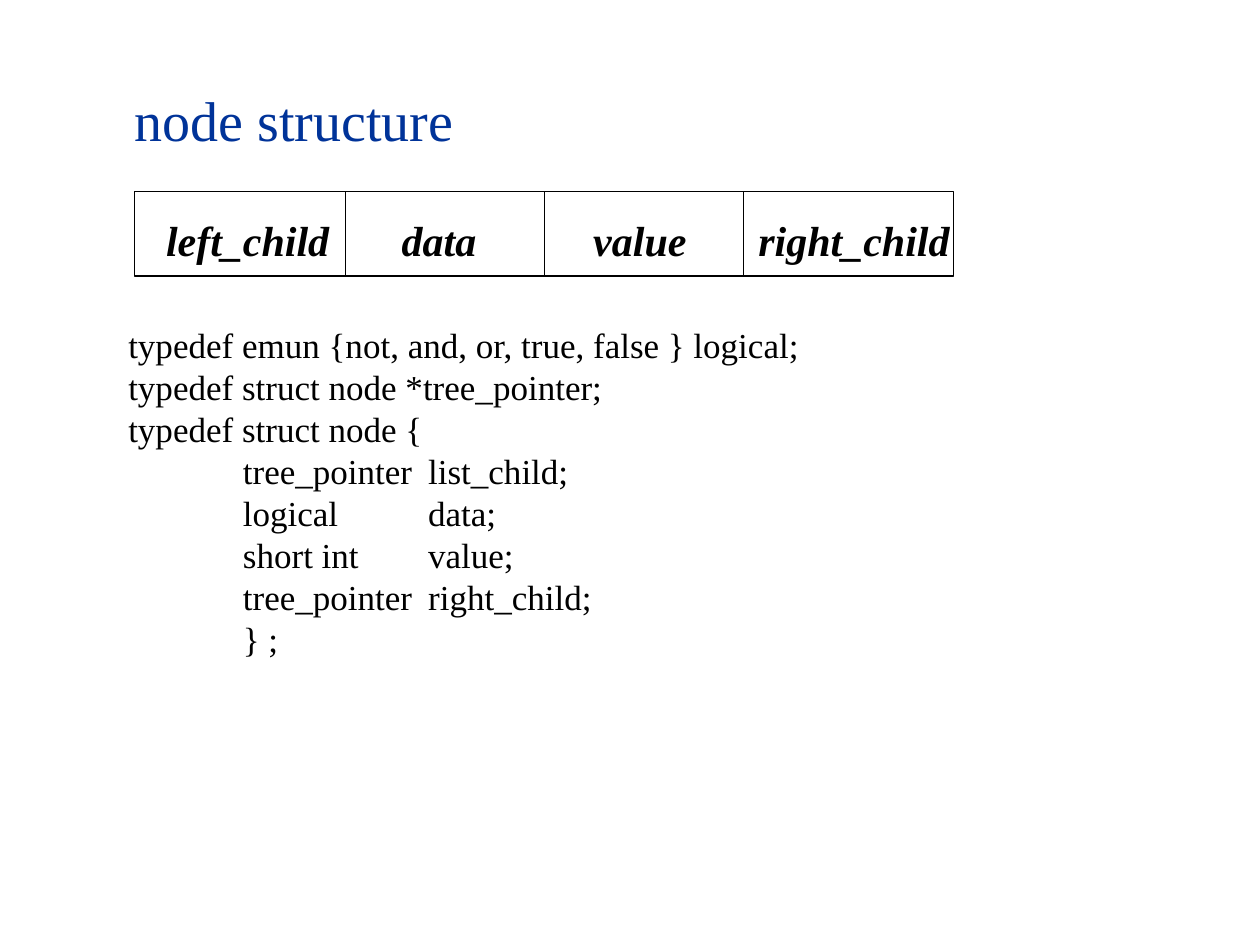
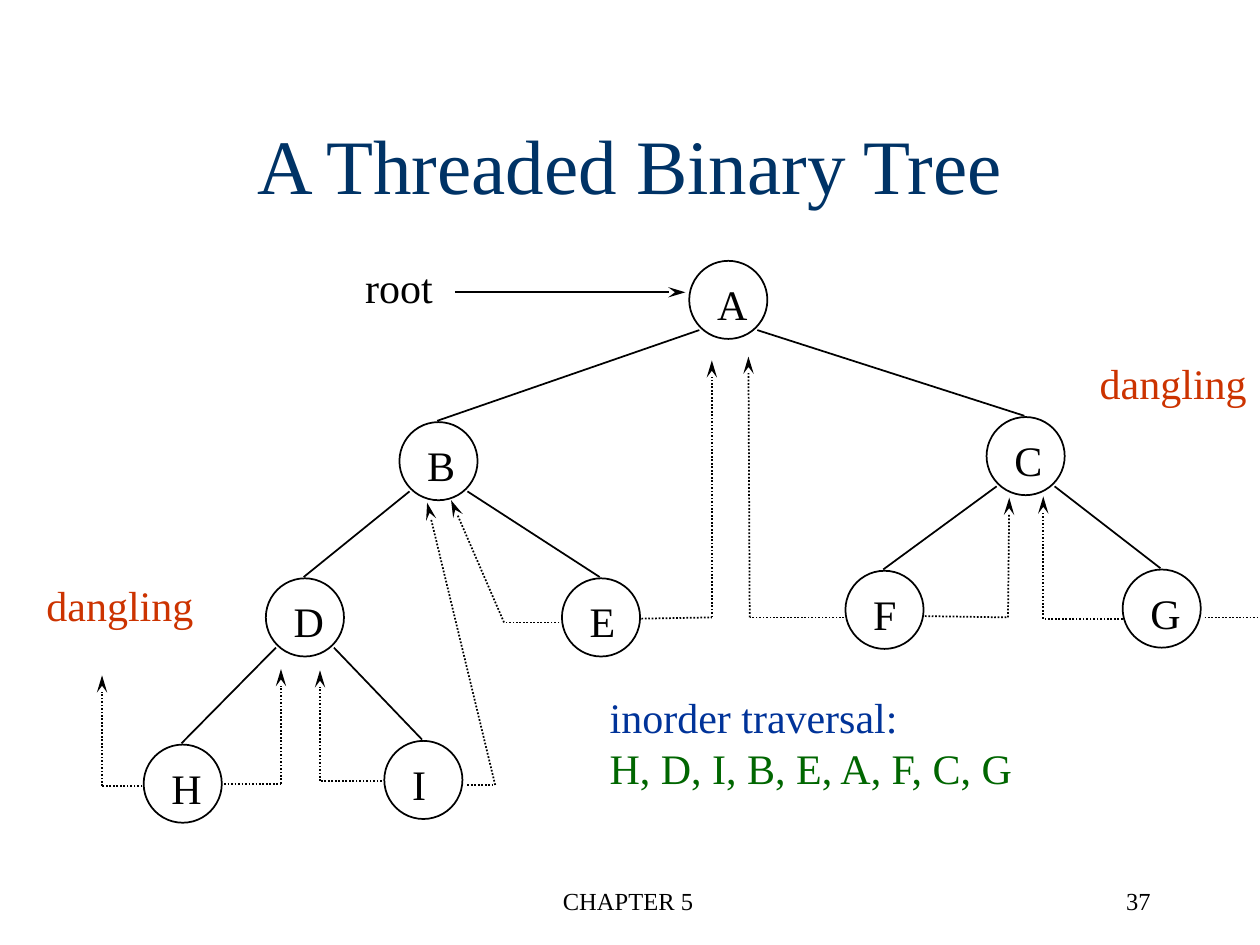
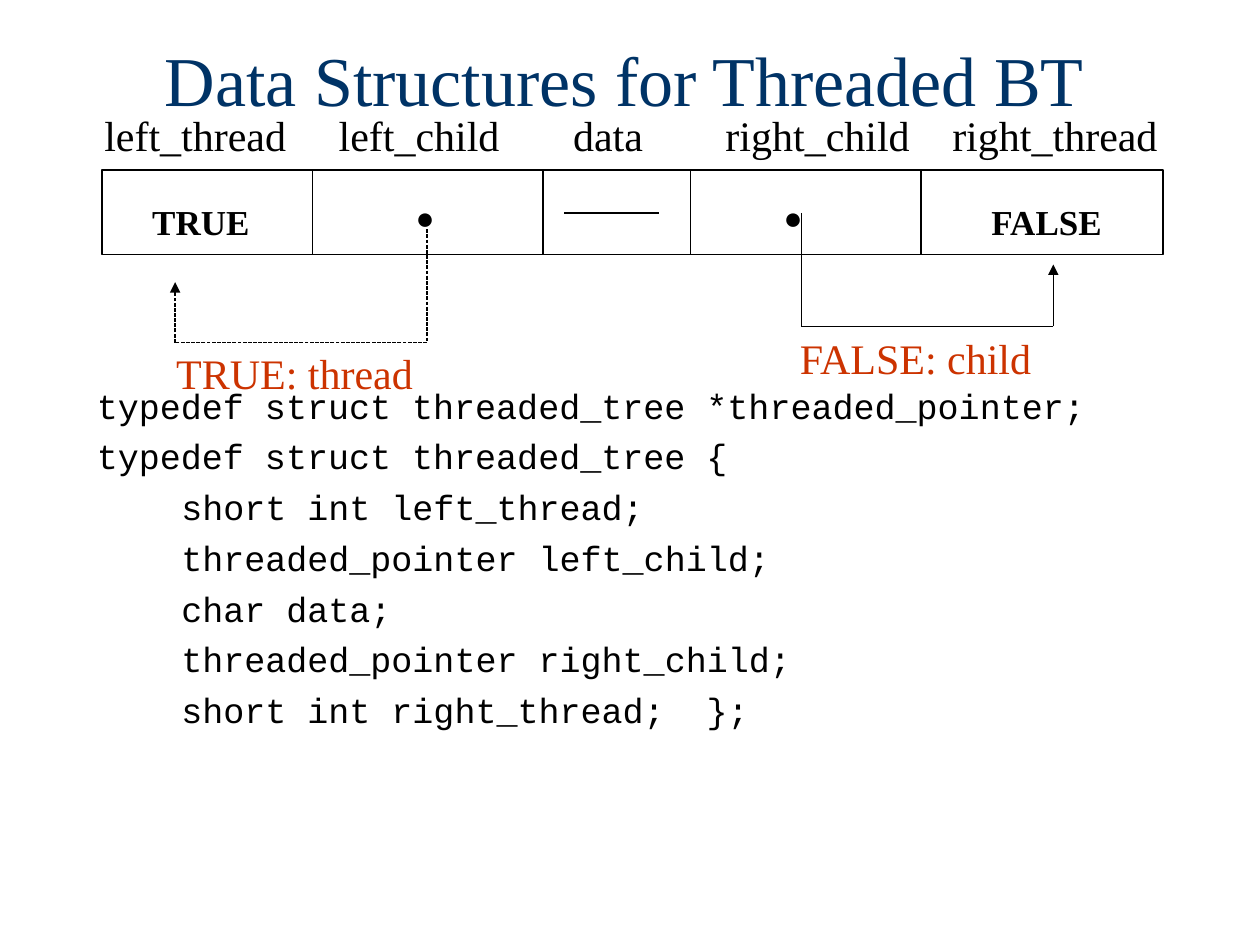
from lxml import etree
from pptx import Presentation
from pptx.dml.color import RGBColor
from pptx.enum.dml import MSO_LINE as Dash
from pptx.enum.shapes import MSO_CONNECTOR as Connector, MSO_SHAPE as Preset
from pptx.enum.text import MSO_ANCHOR as Anchor, PP_ALIGN as Align
from pptx.oxml.ns import qn
from pptx.util import Inches, Pt

COLORS = {
    "ink": "000000",
    "title": "003366",
    "blue": "003399",
    "green": "006600",
    "red": "CC3300",
}
SERIF, MONO, SANS = "Times New Roman", "Courier New", "Arial"
LINE_HEIGHT = 1.2
NODE_SIZE = 0.62
ARROW_LENGTHS = {"stealth": "lg", "triangle": "med"}


# Shared text and line helpers
def color(name):
    return RGBColor.from_string(COLORS[name])


def add_line_of_text(paragraph, text, size, ink="ink", font=SERIF, bold=False,
                     italic=False, align=Align.LEFT, before=0, tabs=()):
    paragraph.alignment = align
    paragraph.space_before = Pt(before)
    paragraph.line_spacing = Pt(size * LINE_HEIGHT)
    if tabs:
        properties = paragraph._p.get_or_add_pPr()
        tab_list = etree.SubElement(properties, qn("a:tabLst"))
        for stop in tabs:
            etree.SubElement(tab_list, qn("a:tab"), pos=str(Inches(stop)), algn="l")
    run = paragraph.add_run()
    run.text = text
    run.font.name = font
    run.font.size = Pt(size)
    run.font.bold = bold
    run.font.italic = italic
    run.font.color.rgb = color(ink)


def add_text(slide, box, lines, size, inks=("ink",), anchor=Anchor.TOP,
             margin_right=0.1, **style):
    shape = slide.shapes.add_textbox(*map(Inches, box))
    frame = shape.text_frame
    frame.word_wrap = True
    frame.margin_right = Inches(margin_right)
    frame.vertical_anchor = anchor
    for index, line in enumerate(lines):
        paragraph = frame.add_paragraph() if index else frame.paragraphs[0]
        add_line_of_text(paragraph, line, size, inks[index % len(inks)], **style)


def add_label(slide, left, top, width, text, size=24, **style):
    add_text(slide, (left, top, width, 0.5), [text], size, margin_right=0, **style)


def add_title(slide, box, text, size, ink="title", **style):
    add_text(slide, box, [text], size, [ink], **style)


def add_line(slide, start, end, weight=1, dash=None, arrow=None):
    line = slide.shapes.add_connector(
        Connector.STRAIGHT, *map(Inches, (*start, *end)))
    line.line.color.rgb = color("ink")
    line.line.width = Pt(weight)
    if dash:
        line.line.dash_style = dash
    if arrow:
        etree.SubElement(line.line._get_or_add_ln(), qn("a:tailEnd"),
                         type=arrow, w="med", len=ARROW_LENGTHS[arrow])
    etree.SubElement(line._element.spPr, qn("a:effectLst"))
    return line


def add_path(slide, points, arrow, **style):
    """Chain straight lines through the points, with the arrow on the last."""
    for index in range(len(points) - 1):
        last = index == len(points) - 2
        add_line(slide, points[index], points[index + 1],
                 arrow=arrow if last else None, **style)


def add_outline(slide, preset, box):
    shape = slide.shapes.add_shape(preset, *map(Inches, box))
    shape.shadow.inherit = False
    shape.fill.background()
    shape.line.color.rgb = color("ink")
    return shape


# Record: a frame cut into fields
def add_record(slide, left, top, width, dividers, height=0.67):
    frame = add_outline(slide, Preset.RECTANGLE, (left, top, width, height))
    frame.line.width = Pt(0.75)
    for offset in dividers:
        x = left + offset
        divider = add_line(slide, (x, top), (x, top + height), 0.75)
        if offset * 2 == width:
            divider.begin_connect(frame, 0)
            divider.end_connect(frame, 2)


# Threaded tree: positions are relative to the tree's box
NODES = {
    "A": (4.67, 0.07), "B": (2.37, 1.35), "C": (7.03, 1.31),
    "D": (1.31, 2.59), "E": (3.66, 2.59), "F": (5.91, 2.53),
    "G": (8.11, 2.52), "H": (0.34, 3.91), "I": (2.25, 3.88),
}
CHILDREN = {"A": "BC", "B": "DE", "C": "FG", "D": "HI"}
THREADS = [
    [(0.33, 4.24), (0.01, 4.24), (0.01, 3.36)],  # H to nowhere
    [(0.98, 4.22), (1.43, 4.22), (1.43, 3.31)],  # H to D
    [(2.23, 4.2), (1.74, 4.2), (1.74, 3.32)],    # I to D
    [(2.91, 4.23), (3.13, 4.23), (2.59, 1.99)],  # I to B
    [(3.64, 2.94), (3.2, 2.94), (2.78, 1.97)],   # E to B
    [(4.29, 2.91), (4.85, 2.9), (4.85, 0.86)],   # E to A
    [(5.9, 2.9), (5.15, 2.9), (5.14, 0.83)],     # F to A
    [(6.54, 2.89), (7.2, 2.9), (7.21, 1.95)],    # F to C
    [(8.11, 2.91), (7.48, 2.91), (7.48, 1.94)],  # G to C
]
OPEN_THREAD = [(8.76, 2.9), (9.18, 2.9)]         # G off the edge


def add_node(slide, left, top, name):
    circle = add_outline(slide, Preset.OVAL, (left, top, NODE_SIZE, NODE_SIZE))
    circle.line.width = Pt(1)
    frame = circle.text_frame
    frame.word_wrap = True
    frame.vertical_anchor = Anchor.TOP
    frame.margin_left, frame.margin_top = Inches(0.13), Inches(0.05)
    frame.margin_right = frame.margin_bottom = 0
    add_line_of_text(frame.paragraphs[0], name, 24)


def add_tree(slide, left, top):
    def place(point, dx=0, dy=0):
        return left + point[0] + dx, top + point[1] + dy

    for name, corner in NODES.items():
        add_node(slide, *place(corner), name)
    for parent, children in CHILDREN.items():
        for child, dx in zip(children, (0.08, 0.54)):
            add_line(slide, place(NODES[parent], dx, 0.55),
                     place(NODES[child], 0.3, -0.01))
    for thread in THREADS:
        add_path(slide, [place(point) for point in thread], "stealth",
                 dash=Dash.ROUND_DOT)
    add_path(slide, [place(point) for point in OPEN_THREAD], None,
             dash=Dash.ROUND_DOT)
    add_line(slide, place((2.81, 0.32)), place((4.64, 0.32)), arrow="stealth")
    add_label(slide, *place((2, 0.03)), 0.74, "root")


# Footer
def add_footer(slide, chapter, number):
    for left, width, text, align in ((3.4, 3.17, chapter, Align.CENTER),
                                     (7.15, 2.08, number, Align.RIGHT)):
        add_text(slide, (left, 6.98, width, 0.5), [text], 14,
                 align=align, before=8.8)


# Pointer: drops from a field, runs sideways and rises to an arrowhead
def add_pointer(slide, left, top, run, rise, dash=None):
    bottom = top + 0.9
    points = [(left, top), (left, bottom),
              (left + run, bottom), (left + run, bottom - rise)]
    add_path(slide, points, "triangle", weight=0.75, dash=dash)


# Slides
def build_node_structure(slide):
    add_title(slide, (0.97, 0.63, 4, 0.64), "node structure", 32, "blue")
    add_record(slide, 1.07, 1.52, 6.5, (1.67, 3.25, 4.83))
    add_text(slide, (1.22, 1.65, 6.6, 0.5),
             ["left_child\tdata\tvalue\tright_child"], 24,
             bold=True, italic=True, tabs=(1.87, 3.39, 4.7))
    add_text(slide, (0.92, 2.52, 6, 3.1), [
        "typedef emun {not, and, or, true, false } logical;",
        "typedef struct node *tree_pointer;",
        "typedef struct node {",
        "\ttree_pointer\tlist_child;",
        "\tlogical\tdata;",
        "\tshort int\tvalue;",
        "\ttree_pointer\tright_child;",
        "\t} ;",
    ], 20, tabs=(0.91, 2.38))


def build_threaded_tree(slide):
    add_footer(slide, "CHAPTER 5", "37")
    add_title(slide, (0, 0.67, 10, 1.25), "A Threaded Binary Tree", 44,
              anchor=Anchor.MIDDLE, align=Align.CENTER)
    add_tree(slide, 0.8, 2)
    for left, top in ((0.27, 4.55), (8.63, 2.79)):
        add_label(slide, left, top, 1.36, "dangling", inks=["red"])
    add_text(slide, (4.74, 5.44, 3.6, 0.9),
             ["inorder traversal:", "H, D, I, B, E, A, F, C, G"], 24,
             ["blue", "green"])


def build_data_structures(slide):
    add_title(slide, (1.21, 0, 7.65, 1.25), "Data Structures for Threaded BT",
              40, anchor=Anchor.MIDDLE)
    # Field names and values
    add_text(slide, (0.73, 0.82, 8.8, 0.5),
             ["left_thread\tleft_child\tdata\tright_child\tright_thread"], 24,
             tabs=(1.86, 3.72, 4.93, 6.73))
    add_record(slide, 0.81, 1.35, 8.42, (1.67, 3.5, 4.67, 6.5))
    add_label(slide, 1.11, 1.54, 0.98, "TRUE", 20, bold=True)
    add_label(slide, 7.77, 1.54, 1.08, "FALSE", 20, bold=True)
    for left in (3.2, 6.12):
        add_label(slide, left, 1.52, 0.45, "●", 18, font=SANS)
    add_line(slide, (4.48, 1.69), (5.23, 1.69), 0.75)
    # Pointers
    add_pointer(slide, 3.39, 1.82, -2, 0.48, Dash.SQUARE_DOT)
    add_pointer(slide, 6.36, 1.69, 2, 0.49)
    add_label(slide, 1.3, 2.71, 2.08, "TRUE: thread", inks=["red"])
    add_label(slide, 6.25, 2.59, 2.06, "FALSE: child", inks=["red"])
    # Declaration
    add_text(slide, (0.67, 3, 8.72, 3.41), [
        "typedef struct threaded_tree *threaded_pointer;",
        "typedef struct threaded_tree {",
        "\tshort int left_thread;",
        "\tthreaded_pointer left_child;",
        "\tchar data;",
        "\tthreaded_pointer right_child;",
        "\tshort int right_thread;\t};",
    ], 20, font=MONO, before=5, tabs=(0.67, 4.84))


def main():
    presentation = Presentation()
    presentation.slide_width, presentation.slide_height = Inches(10), Inches(7.5)
    blank = presentation.slide_layouts[6]
    for build in (build_node_structure, build_threaded_tree, build_data_structures):
        build(presentation.slides.add_slide(blank))
    presentation.save("out.pptx")


if __name__ == "__main__":
    main()
